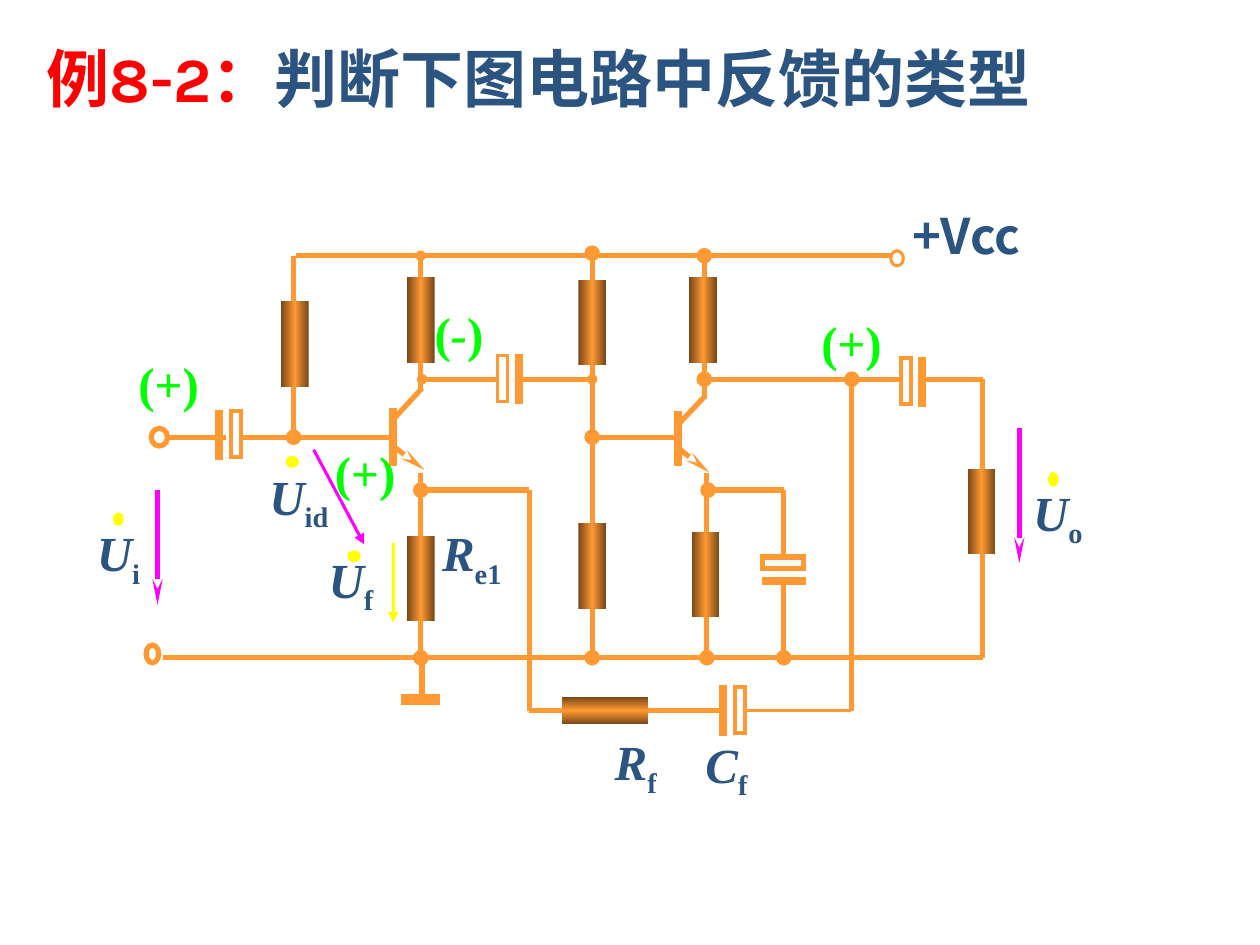
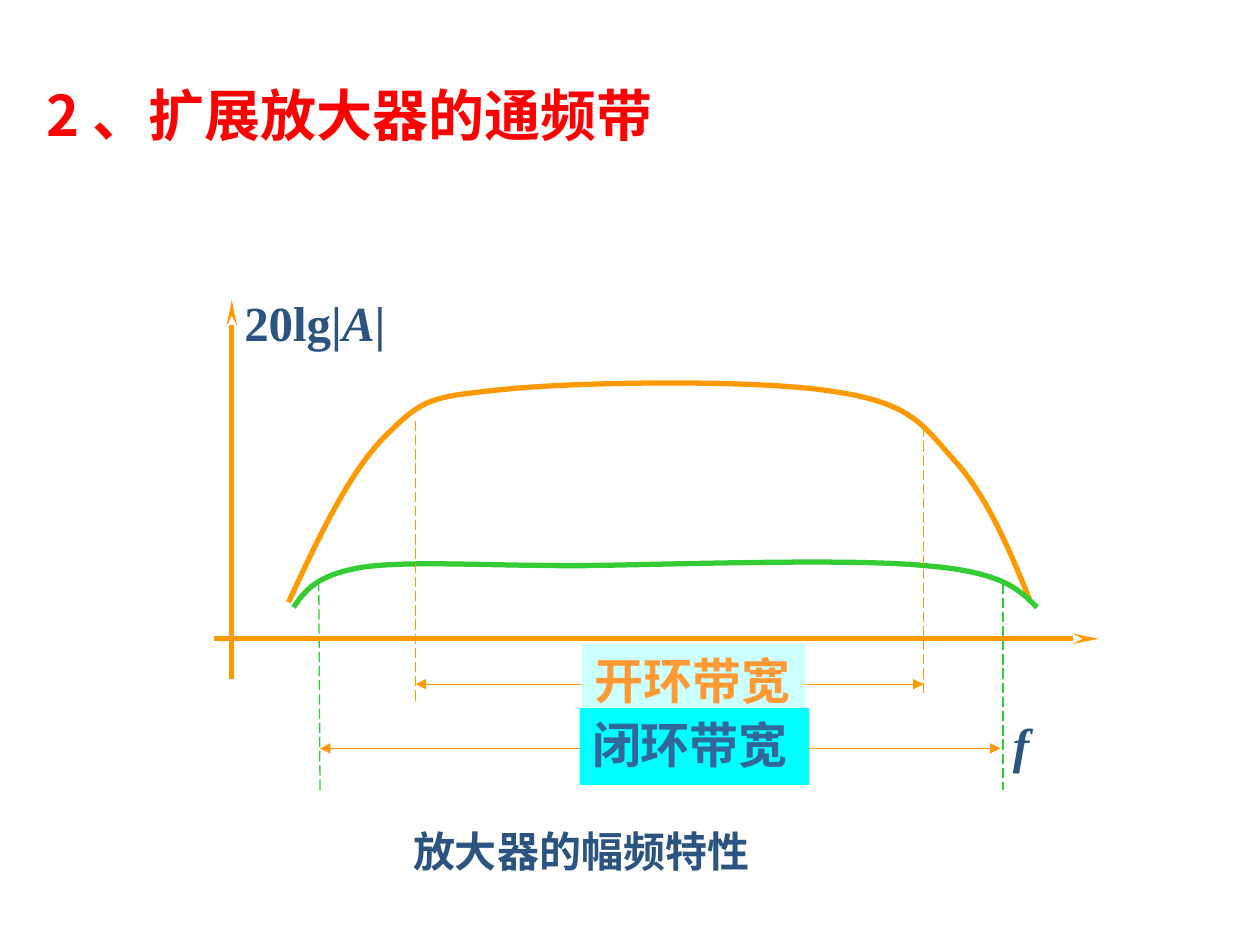
import copy
from dataclasses import dataclass

import pptx
import pptx.dml.color
import pptx.enum.dml
import pptx.enum.shapes
import pptx.enum.text
import pptx.oxml.ns
import pptx.util
from lxml import etree

Inches = pptx.util.Inches
qn = pptx.oxml.ns.qn
SHAPE = pptx.enum.shapes.MSO_SHAPE
ALIGN = pptx.enum.text.PP_ALIGN
ANCHOR = pptx.enum.text.MSO_ANCHOR


@dataclass(frozen=True)
class Theme:
    navy: str = "2B5481"
    red: str = "FF0000"
    sign: str = "00FF00"
    circuit: str = "FF9933"
    circuit_dark: str = "764718"
    axis: str = "FF9900"
    closed_loop: str = "33CC33"
    voltage: str = "FF00FF"
    yellow: str = "FFFF00"
    white: str = "FFFFFF"
    open_label: str = "CCFFFF"
    closed_label: str = "00FFFF"
    closed_text: str = "336699"
    serif: str = "Times New Roman"
    sans: str = "Noto Sans CJK SC"
    heading: str = "Karla"
    example_size: int = 36
    topic_size: int = 32
    label_size: int = 28
    caption_size: int = 24
    wire: float = 3
    thin: float = 1.75
    plate: float = 4.5
    guide: float = 0.75


THEME = Theme()
DOT = ("oval", "med", "med")
SMALL_DOT = ("oval", "sm", "sm")
STEALTH = ("stealth", "sm", "lg")
TRIANGLE = ("triangle", "med", "med")


def rgb(value):
    return pptx.dml.color.RGBColor.from_string(value)


def write(shape, spans, size=THEME.label_size, font=THEME.serif, color=THEME.navy,
          align=ALIGN.JUSTIFY, anchor=ANCHOR.TOP):
    frame = shape.text_frame
    frame.word_wrap = True
    frame.vertical_anchor = anchor
    para = frame.paragraphs[0]
    para.alignment = align
    for text, style in spans:
        span = para.add_run()
        span.text = text
        span.font.size = pptx.util.Pt(size)
        span.font.name = font
        span.font.bold = True
        span.font.italic = style.get("italic", False)
        span.font.color.rgb = rgb(style.get("color", color))
        properties = span.font._element
        if style.get("subscript"):
            properties.set("baseline", "-25000")
        etree.SubElement(properties, qn("a:ea")).set("typeface", THEME.sans)


def add_text(page, area, spans, **style):
    box = page.shapes.add_textbox(*map(Inches, area))
    write(box, spans, **style)


def add_title(page, area, spans, size, font):
    add_text(page, area, spans, size=size, font=font, color=THEME.red,
             align=ALIGN.LEFT, anchor=ANCHOR.MIDDLE)


def add_symbol(page, area, letter, subscript):
    add_text(page, area, [(letter, {"italic": True}), (subscript, {"subscript": True})])


def set_outline(shape, color, width):
    shape.line.color.rgb = rgb(color)
    shape.line.width = pptx.util.Pt(width)
    etree.SubElement(shape.line._get_or_add_ln(), qn("a:miter")).set("lim", "800000")


def add_preset(page, kind, area, fill, line=None, width=THEME.wire):
    shape = page.shapes.add_shape(kind, *map(Inches, area))
    shape.shadow.inherit = False
    shape.fill.solid()
    shape.fill.fore_color.rgb = rgb(fill)
    if line:
        set_outline(shape, line, width)
    else:
        shape.line.fill.background()
    return shape


def add_line(page, start, end, color, width, head=None, tail=None, dashed=False):
    line = page.shapes.add_connector(
        pptx.enum.shapes.MSO_CONNECTOR.STRAIGHT, *map(Inches, (*start, *end)))
    line.line.color.rgb = rgb(color)
    line.line.width = pptx.util.Pt(width)
    if dashed:
        line.line.dash_style = pptx.enum.dml.MSO_LINE.LONG_DASH
    outline = line.line._get_or_add_ln()
    for tag, mark in (("a:headEnd", head), ("a:tailEnd", tail)):
        if mark:
            ending = etree.SubElement(outline, qn(tag))
            for name, value in zip(("type", "w", "len"), mark):
                ending.set(name, value)
    etree.SubElement(line._element.spPr, qn("a:effectLst"))


def add_wire(page, *points, head=None, tail=None, width=THEME.wire):
    last = len(points) - 2
    for index, (start, end) in enumerate(zip(points, points[1:])):
        add_line(page, start, end, THEME.circuit, width,
                 head if index == 0 else None, tail if index == last else None)


def add_resistor(page, left, top, upright=True):
    size = (0.22, 0.68) if upright else (0.68, 0.22)
    body = add_preset(page, SHAPE.RECTANGLE, (left, top, *size), THEME.circuit)
    body.fill.gradient()
    body.fill.gradient_angle = 0 if upright else 90
    stops = body._element.spPr.find(".//" + qn("a:gsLst"))
    stops.insert(1, copy.deepcopy(stops[0]))
    colors = (THEME.circuit_dark, THEME.circuit, THEME.circuit_dark)
    for stop, color, position in zip(body.fill.gradient_stops, colors, (0, 0.5, 1)):
        stop.color.rgb = rgb(color)
        stop.position = position


def add_capacitor(page, plate_x, y, side, width=2.25):
    add_wire(page, (plate_x, y - 0.2), (plate_x, y + 0.2), width=THEME.plate)
    add_preset(page, SHAPE.RECTANGLE, (plate_x + side * 0.13 - 0.04, y - 0.19, 0.08, 0.37),
               THEME.white, THEME.circuit, width)


def add_transistor(page, base, collector, emitter):
    add_wire(page, *base, width=THEME.plate)
    add_wire(page, *collector)
    add_wire(page, *emitter, tail=STEALTH)


def add_phasor(page, area, subscript, dot):
    add_symbol(page, area, "U", subscript)
    add_preset(page, SHAPE.OVAL, dot, THEME.yellow, THEME.yellow, THEME.thin)


def add_curve(page, points, color):
    corners = [tuple(map(Inches, point)) for point in points]
    builder = page.shapes.build_freeform(*corners[0])
    builder.add_line_segments(corners[1:], close=False)
    curve = builder.convert_to_shape()
    curve.shadow.inherit = False
    curve.fill.background()
    set_outline(curve, color, THEME.wire)
    outline = curve._element.spPr.find(".//" + qn("a:path"))
    segments = outline.findall(qn("a:lnTo"))
    for index in range(0, len(segments), 3):
        bezier = etree.SubElement(outline, qn("a:cubicBezTo"))
        for segment in segments[index:index + 3]:
            bezier.append(segment[0])
            outline.remove(segment)


def add_bandwidth(page, left, right, y, label_area, label, fill, color):
    add_line(page, (left, y), (right, y), THEME.axis, THEME.guide, TRIANGLE, TRIANGLE)
    box = add_preset(page, SHAPE.RECTANGLE, label_area, fill)
    write(box, [(label, {})], color=color)


def draw_wires(page):
    add_wire(page, (2.35, 2.03), (7.07, 2.03))
    add_wire(page, (2.33, 2.03), (2.33, 3.47), tail=DOT)
    add_wire(page, (3.34, 2.03), (3.34, 3.1), head=SMALL_DOT)
    add_wire(page, (4.7, 2.01), (4.7, 5.22), head=DOT, tail=DOT)
    add_wire(page, (5.59, 2.03), (5.59, 3.17), head=DOT)
    add_wire(page, (5.59, 3.01), (7.15, 3.01), head=DOT)
    add_wire(page, (1.79, 3.47), (1.31, 3.47))
    add_wire(page, (1.91, 3.47), (3.12, 3.47))
    add_wire(page, (1.29, 5.22), (7.8, 5.22))
    add_wire(page, (4.7, 3.47), (5.38, 3.47), head=DOT)
    add_wire(page, (6.76, 5.64), (6.76, 3.01), tail=DOT)
    add_wire(page, (7.3, 3.01), (7.8, 3.01), (7.8, 5.22))
    add_wire(page, (3.35, 3.01), (3.95, 3.01), head=SMALL_DOT)
    add_wire(page, (4.14, 3.01), (4.7, 3.01), tail=SMALL_DOT)
    for x in (3.34, 5.61):
        add_wire(page, (x, 3.75), (x, 5.22), tail=DOT)
    add_wire(page, (3.34, 3.89), (4.2, 3.89), (4.2, 5.64), (5.74, 5.64), head=DOT)
    add_wire(page, (5.92, 5.64), (6.75, 5.64), width=THEME.thin)
    add_wire(page, (5.62, 3.89), (6.22, 3.89), (6.22, 4.45), head=DOT)
    add_wire(page, (6.22, 4.6), (6.22, 5.22), tail=DOT)
    add_wire(page, (3.35, 5.22), (3.35, 5.57))
    add_wire(page, (3.18, 5.55), (3.49, 5.55), width=6)


def draw_parts(page):
    add_capacitor(page, 1.74, 3.45, 1)
    add_capacitor(page, 4.12, 3.01, -1, THEME.thin)
    add_capacitor(page, 7.32, 3.03, -1)
    add_capacitor(page, 5.74, 5.64, 1)
    add_wire(page, (6.05, 4.61), (6.4, 4.61), width=THEME.plate)
    add_preset(page, SHAPE.RECTANGLE, (6.05, 4.42, 0.33, 0.09), THEME.white, THEME.circuit)
    add_transistor(page, ((3.12, 3.24), (3.12, 3.7)),
                   ((3.12, 3.33), (3.35, 3.08)), ((3.12, 3.54), (3.37, 3.73)))
    add_transistor(page, ((5.38, 3.26), (5.38, 3.7)),
                   ((5.4, 3.35), (5.59, 3.15)), ((5.4, 3.57), (5.63, 3.75)))
    for area, width in (((1.2, 3.4, 0.13, 0.14), THEME.wire),
                        ((1.16, 5.12, 0.1, 0.14), THEME.wire),
                        ((7.07, 1.99, 0.1, 0.12), THEME.thin)):
        add_preset(page, SHAPE.OVAL, area, THEME.white, THEME.circuit, width)
    for left, top in ((2.23, 2.39), (3.23, 2.2), (4.59, 2.22), (5.47, 2.2),
                      (3.23, 4.25), (4.59, 4.15), (5.49, 4.22), (7.68, 3.72)):
        add_resistor(page, left, top)
    add_resistor(page, 4.46, 5.53, upright=False)


def draw_labels(page):
    for left, top in ((2.56, 3.46), (6.42, 2.43), (1, 2.76)):
        add_text(page, (left, top, 1.16, 0.93), [("(+)", {})], color=THEME.sign)
    add_text(page, (3.35, 2.36, 0.98, 0.93),
             [("(", {}), ("-", {"italic": True}), (")", {})], color=THEME.sign)
    add_phasor(page, (8.1, 3.78, 0.98, 1.13), "o", (8.33, 3.76, 0.06, 0.09))
    add_phasor(page, (2.04, 3.65, 0.87, 0.93), "id", (2.28, 3.63, 0.08, 0.07))
    add_phasor(page, (0.67, 4.1, 1, 0.93), "i", (0.91, 4.08, 0.06, 0.08))
    add_phasor(page, (2.51, 4.31, 0.73, 0.93), "f", (2.77, 4.38, 0.08, 0.07))
    add_symbol(page, (3.41, 4.1, 1.02, 0.93), "R", "e1")
    add_symbol(page, (4.78, 5.76, 0.72, 0.68), "R", "f")
    add_symbol(page, (5.5, 5.78, 0.85, 0.67), "C", "f")
    add_text(page, (7.14, 1.58, 1.6, 0.74), [("+Vcc", {})], font=THEME.sans)
    add_line(page, (1.25, 3.89), (1.25, 4.8), THEME.voltage, THEME.wire, tail=STEALTH)
    add_line(page, (8.09, 3.4), (8.09, 4.47), THEME.voltage, THEME.wire, tail=STEALTH)
    add_line(page, (2.49, 3.57), (2.89, 4.32), THEME.voltage, THEME.thin, tail=TRIANGLE)
    add_line(page, (3.12, 4.31), (3.12, 4.94), THEME.yellow, THEME.thin, tail=TRIANGLE)


def build_circuit(page):
    draw_wires(page)
    draw_parts(page)
    draw_labels(page)
    add_title(page, (0.27, 0.25, 9, 0.72),
              [("例8-2：", {}), ("判断下图电路中反馈的类型", {"color": THEME.navy})],
              THEME.example_size, THEME.heading)


def build_response(page):
    add_text(page, (7.94, 5.62, 1.14, 0.8), [("f", {"italic": True})])
    add_curve(page, (
        (2.29, 4.78), (2.53, 4.26), (2.78, 3.73), (3.07, 3.45),
        (3.36, 3.16), (3.42, 3.15), (4.01, 3.09),
        (4.6, 3.03), (6.04, 3.01), (6.63, 3.11),
        (7.23, 3.2), (7.32, 3.37), (7.57, 3.65),
        (7.83, 3.93), (8.01, 4.36), (8.18, 4.78)), THEME.axis)
    add_curve(page, (
        (2.33, 4.82), (2.42, 4.69), (2.51, 4.56), (2.89, 4.5),
        (3.27, 4.45), (3.85, 4.49), (4.6, 4.49),
        (5.34, 4.48), (6.75, 4.43), (7.35, 4.49),
        (7.96, 4.54), (8.09, 4.68), (8.23, 4.82)), THEME.closed_loop)
    for top, bottom, color in (((3.3, 3.34), (3.3, 5.56), THEME.axis),
                               ((7.33, 3.39), (7.33, 5.51), THEME.axis),
                               ((2.53, 4.61), (2.54, 6.27), THEME.closed_loop),
                               ((7.96, 4.63), (7.96, 6.27), THEME.closed_loop)):
        add_line(page, top, bottom, color, THEME.guide, dashed=True)
    add_bandwidth(page, 3.3, 7.33, 5.43, (4.62, 5.11, 1.77, 0.58),
                  "开环带宽", THEME.open_label, THEME.circuit)
    add_bandwidth(page, 2.54, 7.94, 5.94, (4.6, 5.62, 1.82, 0.61),
                  "闭环带宽", THEME.closed_label, THEME.closed_text)
    add_line(page, (1.7, 5.07), (8.72, 5.07), THEME.axis, THEME.wire, tail=STEALTH)
    add_line(page, (1.84, 2.38), (1.84, 5.39), THEME.axis, THEME.wire, head=STEALTH)
    add_text(page, (1.84, 2.27, 2.02, 0.76),
             [("20lg|", {}), ("A", {"italic": True}), ("|", {})])
    add_text(page, (3.18, 6.5, 4.57, 0.69), [("放大器的幅频特性", {})],
             size=THEME.caption_size, font=THEME.sans)
    add_title(page, (0.27, 0.6, 8.5, 0.61), [("2 、扩展放大器的通频带", {})],
              THEME.topic_size, THEME.sans)


def main():
    deck = pptx.Presentation()
    deck.slide_width = Inches(10)
    deck.slide_height = Inches(7.5)
    for build in (build_circuit, build_response):
        build(deck.slides.add_slide(deck.slide_layouts[6]))
    deck.save("out.pptx")


if __name__ == "__main__":
    main()
